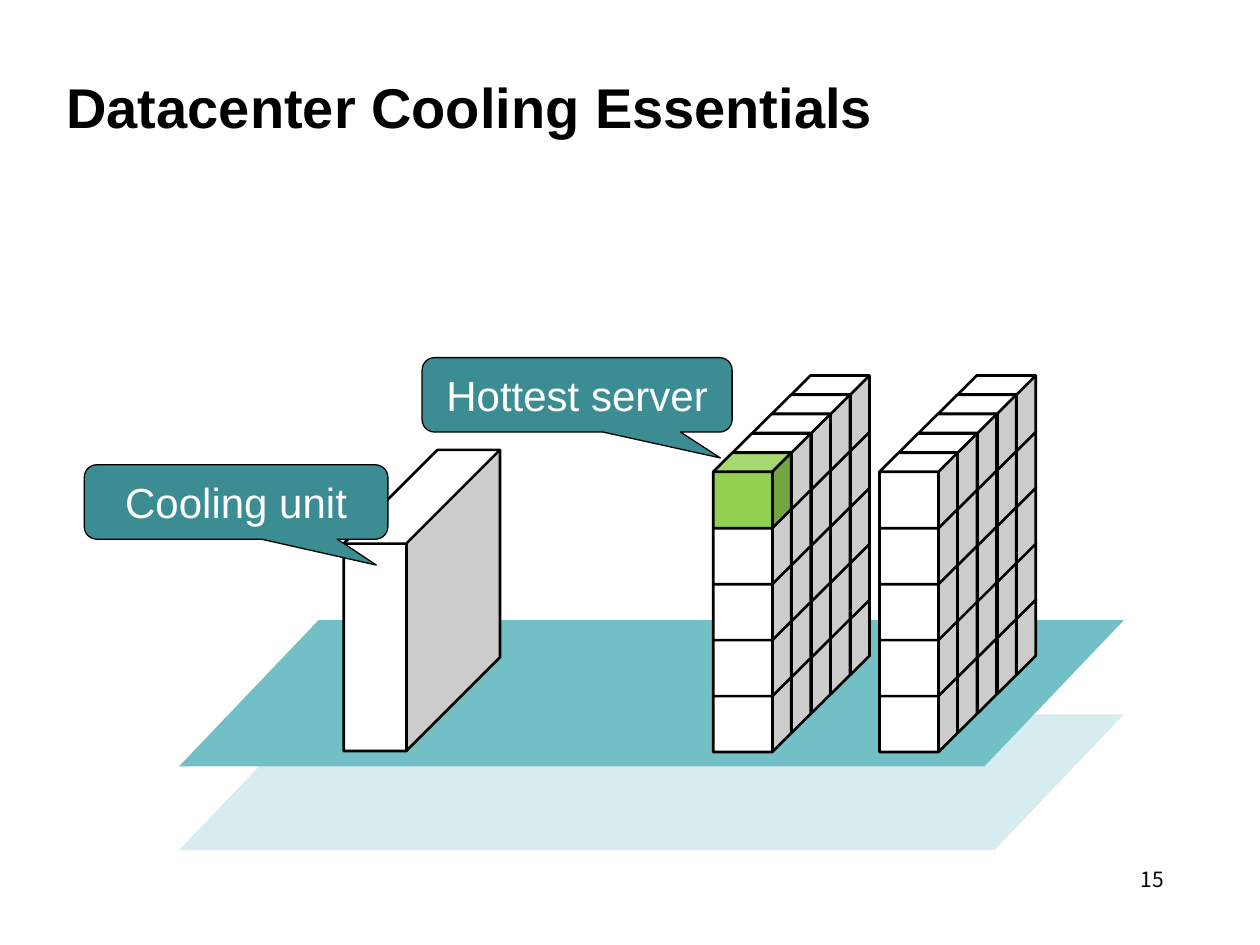
import dataclasses

import pptx
import pptx.dml.color
import pptx.enum.shapes
import pptx.enum.text
import pptx.util

Cm = pptx.util.Cm
Pt = pptx.util.Pt
KIND = pptx.enum.shapes.MSO_SHAPE
ALIGN = pptx.enum.text.PP_ALIGN
ANCHOR = pptx.enum.text.MSO_ANCHOR


@dataclasses.dataclass(frozen=True)
class Theme:
    ink: str = "000000"
    white: str = "FFFFFF"
    floor: str = "72BFC5"
    base: str = "D6ECEE"
    label: str = "3C8C93"
    hot: str = "92D050"
    font: str = "Arial"
    num_font: str = "Noto Sans CJK KR"
    head: int = 32
    body: int = 24
    small: int = 12


THEME = Theme()


def color(code):
    return pptx.dml.color.RGBColor.from_string(code)


def write(shape, text, size=THEME.body, ink=THEME.ink, font=THEME.font,
          bold=False, align=ALIGN.LEFT, anchor=ANCHOR.TOP):
    """Put one formatted line of text into a shape."""
    frame = shape.text_frame
    frame.word_wrap = True
    frame.vertical_anchor = anchor
    para = frame.paragraphs[0]
    para.alignment = align
    run = para.add_run()
    run.text = text
    run.font.size = Pt(size)
    run.font.name = font
    run.font.bold = bold
    run.font.color.rgb = color(ink)


def draw(shapes, kind, box, fill, line=0, adjust=()):
    """Add a preset shape; box is left, top, width, height in cm."""
    shape = shapes.add_shape(kind, *map(Cm, box))
    shape.shadow.inherit = False
    shape.fill.solid()
    shape.fill.fore_color.rgb = color(fill)
    if line:
        shape.line.color.rgb = color(THEME.ink)
        shape.line.width = Pt(line)
    else:
        shape.line.fill.background()
    for i, value in enumerate(adjust):
        shape.adjustments[i] = value
    return shape


def add_floor(shapes, box):
    """Raised floor above the base slab."""
    left, top, width, height = box
    slab = 2.74
    draw(shapes, KIND.PARALLELOGRAM, (left, top + height - slab, width, slab),
         THEME.base, adjust=[0.954])
    draw(shapes, KIND.PARALLELOGRAM, (left, top, width, 2.95),
         THEME.floor, adjust=[0.954])


def add_rack(shapes, box, front=THEME.white, count=5):
    """Cubes stacked from back to front and from the floor up."""
    left, top, width, height = box
    wide, high, rise = 1.57, 1.52, 0.39
    gaps = count - 1
    shift = (width - wide) / gaps
    pitch = (height - high) / gaps - rise
    for depth in reversed(range(count)):
        for row in reversed(range(count)):
            place = (left + depth * shift,
                     top + (gaps - depth) * rise + row * pitch, wide, high)
            fill = front if depth == row == 0 else THEME.white
            draw(shapes, KIND.CUBE, place, fill, line=1.5)


def add_room(shapes, box):
    """Floor, cooling unit and two racks in one group."""
    left, top, width, height = box
    room = shapes.add_group_shape().shapes
    add_floor(room, (left, top + 4.93, width, height - 4.93))
    for x, front in ((10.77, THEME.hot), (14.12, THEME.white)):
        add_rack(room, (left + x, top, 3.15, 7.59), front)
    draw(room, KIND.CUBE, (left + 3.32, top + 1.5, 3.15, 6.07), THEME.white,
         line=1.5, adjust=[0.6])


def add_label(shapes, box, text):
    """Callout pointing down and to the right."""
    shape = draw(shapes, KIND.ROUNDED_RECTANGULAR_CALLOUT, box, THEME.label,
                 line=0.75, adjust=[0.462, 0.848, 0.167])
    write(shape, text, ink=THEME.white, align=ALIGN.CENTER,
          anchor=ANCHOR.MIDDLE)


def add_text(shapes, box, text, **form):
    write(shapes.add_textbox(*map(Cm, box)), text, **form)


def main():
    deck = pptx.Presentation()
    deck.slide_width, deck.slide_height = Cm(25.4), Cm(19.05)
    shapes = deck.slides.add_slide(deck.slide_layouts[6]).shapes

    # Title
    add_text(shapes, (1.09, 0.84, 23.6, 2.11), "Datacenter Cooling Essentials",
             size=THEME.head, bold=True, anchor=ANCHOR.BOTTOM)
    # Machine room
    add_room(shapes, (3.61, 7.57, 19.05, 9.57))
    # Callouts
    add_label(shapes, (8.51, 7.21, 6.25, 1.5), "Hottest server")
    add_label(shapes, (1.7, 9.37, 6.12, 1.5), "Cooling unit")
    # Page number
    add_text(shapes, (18.21, 17.35, 5.51, 1.32), "15", size=THEME.small,
             font=THEME.num_font, align=ALIGN.RIGHT)

    deck.save("out.pptx")


if __name__ == "__main__":
    main()
